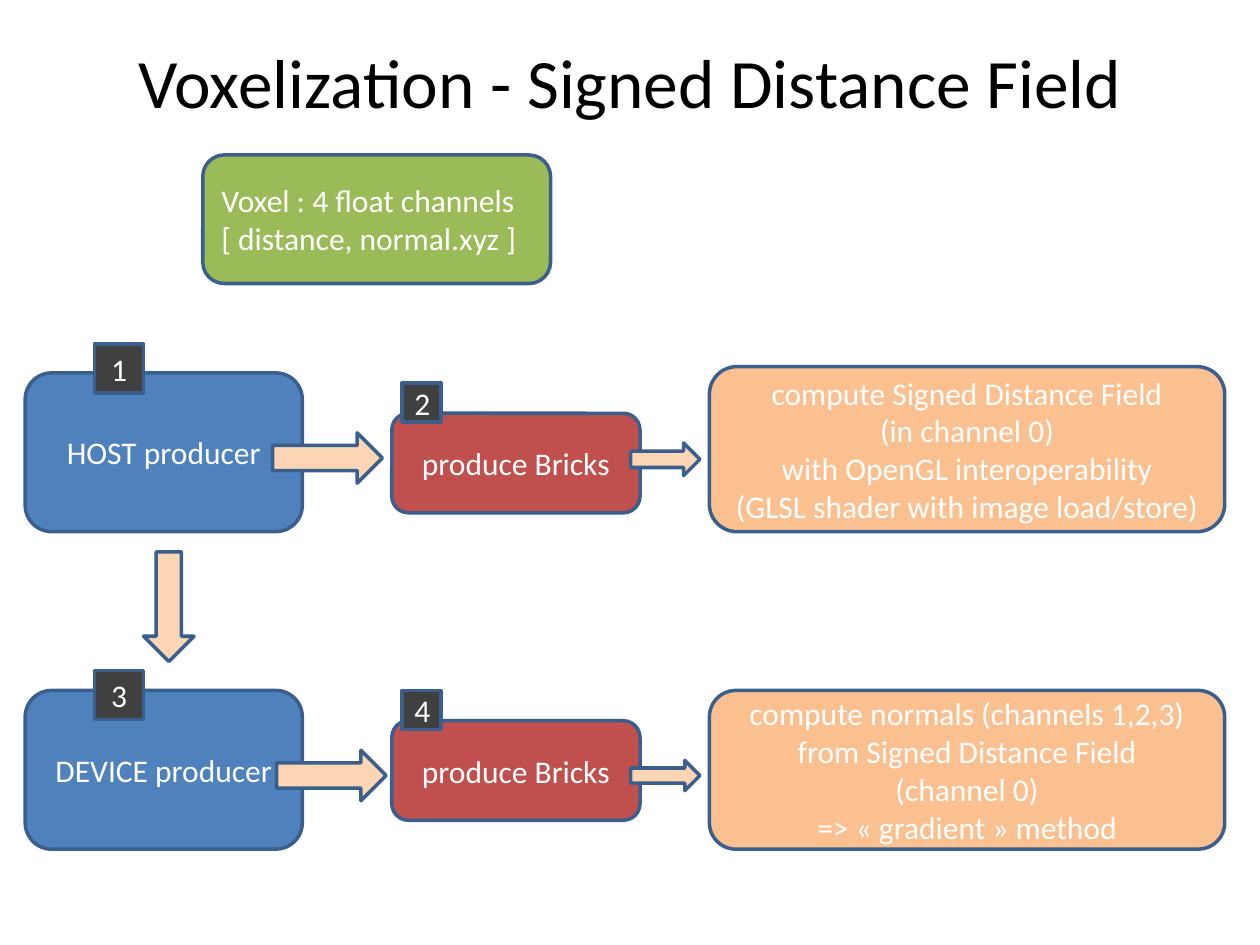
from dataclasses import dataclass

from pptx import Presentation
from pptx.dml.color import RGBColor
from pptx.enum.shapes import MSO_SHAPE
from pptx.enum.text import MSO_ANCHOR, PP_ALIGN
from pptx.util import Inches, Pt

ROUNDED, SQUARE, ARROW = MSO_SHAPE.ROUNDED_RECTANGLE, MSO_SHAPE.RECTANGLE, MSO_SHAPE.DOWN_ARROW
LEFT, CENTER = PP_ALIGN.LEFT, PP_ALIGN.CENTER
MIDDLE = MSO_ANCHOR.MIDDLE

FONT = "Calibri"
BLACK = RGBColor(0x00, 0x00, 0x00)
WHITE = RGBColor(0xFF, 0xFF, 0xFF)
OUTLINE = RGBColor(0x3A, 0x5F, 0x8C)
PRODUCER_BLUE = RGBColor(0x4F, 0x81, 0xBD)
BRICK_RED = RGBColor(0xC0, 0x50, 0x4D)
VOXEL_GREEN = RGBColor(0x9B, 0xBB, 0x59)
COMPUTE_ORANGE = RGBColor(0xFA, 0xC0, 0x90)
ARROW_PEACH = RGBColor(0xFC, 0xD5, 0xB5)
BADGE_GRAY = RGBColor(0x40, 0x40, 0x40)


@dataclass(frozen=True)
class Column:
    left: float
    width: float


@dataclass(frozen=True)
class Box:
    left: float
    top: float
    width: float
    height: float


@dataclass(frozen=True)
class Stage:
    """One row of the pipeline; offsets are measured from the row's top."""
    top: float
    producer: str
    computation: tuple[str, ...]
    computation_rise: float
    brick_offset: float
    badge_rise: float
    flow_left: float
    output_arrow: Box


PRODUCERS, BRICKS, COMPUTATIONS = Column(0.2, 2.2), Column(3.11, 1.97), Column(5.63, 4.09)
FIRST_ROW, ROW_PITCH, ROW_HEIGHT = 2.96, 2.52, 1.26
BRICK_HEIGHT = 0.79
PRODUCER_BADGE, BRICK_BADGE = 0.39, 0.31
ARROW_WIDTH, ARROW_LENGTH = 0.4, 0.87

STAGES = (
    Stage(FIRST_ROW, "HOST producer",
          ("compute Signed Distance Field", "(in channel 0)",
           "with OpenGL interoperability", "(GLSL shader with image load/store)"),
          computation_rise=0.05, brick_offset=0.32, badge_rise=0.23,
          flow_left=2.4, output_arrow=Box(5.15, 0.41, 0.26, 0.55)),
    Stage(FIRST_ROW + ROW_PITCH, "DEVICE producer",
          ("compute normals (channels 1,2,3)", "from Signed Distance Field",
           "(channel 0)", "=> « gradient » method"),
          computation_rise=0, brick_offset=0.24, badge_rise=0.16,
          flow_left=2.43, output_arrow=Box(5.16, 0.4, 0.24, 0.55)),
)


def inches(box: Box) -> tuple:
    return tuple(Inches(length) for length in (box.left, box.top, box.width, box.height))


def write(frame, lines: tuple[str, ...], size: float, color: RGBColor, align) -> None:
    frame.word_wrap = True
    frame.vertical_anchor = MIDDLE
    for index, line in enumerate(lines):
        paragraph = frame.paragraphs[0] if index == 0 else frame.add_paragraph()
        paragraph.alignment = align
        run = paragraph.add_run()
        run.text = line
        run.font.name = FONT
        run.font.size = Pt(size)
        run.font.color.rgb = color


def draw(slide, kind, box: Box, fill: RGBColor, lines: tuple[str, ...] = (),
         align=CENTER, rotation: float = 0) -> None:
    shape = slide.shapes.add_shape(kind, *inches(box))
    shape.shadow.inherit = False
    shape.fill.solid()
    shape.fill.fore_color.rgb = fill
    shape.line.color.rgb = OUTLINE
    shape.line.width = Pt(2)
    shape.rotation = rotation
    if lines:
        write(shape.text_frame, lines, 18, WHITE, align)


def draw_badge(slide, number: int, left: float, top: float, side: float) -> None:
    draw(slide, SQUARE, Box(left, top, side, side), BADGE_GRAY, (str(number),))


def draw_stage(slide, stage: Stage, first_number: int) -> None:
    top = stage.top
    brick_top = top + stage.brick_offset
    computation_top = top - stage.computation_rise
    draw(slide, ROUNDED, Box(PRODUCERS.left, top, PRODUCERS.width, ROW_HEIGHT),
         PRODUCER_BLUE, (stage.producer,))
    draw(slide, ROUNDED, Box(BRICKS.left, brick_top, BRICKS.width, BRICK_HEIGHT),
         BRICK_RED, ("produce Bricks",))
    draw(slide, ROUNDED, Box(COMPUTATIONS.left, computation_top, COMPUTATIONS.width,
                             ROW_HEIGHT + stage.computation_rise),
         COMPUTE_ORANGE, stage.computation)

    output = stage.output_arrow
    for arrow in (Box(stage.flow_left, top + 0.24, ARROW_WIDTH, ARROW_LENGTH),
                  Box(output.left, top + output.top, output.width, output.height)):
        draw(slide, ARROW, arrow, ARROW_PEACH, rotation=270)

    draw_badge(slide, first_number, PRODUCERS.left + 0.55, top - stage.badge_rise, PRODUCER_BADGE)
    draw_badge(slide, first_number + 1, BRICKS.left + 0.08, brick_top - 0.24, BRICK_BADGE)


def main() -> None:
    deck = Presentation()
    deck.slide_width, deck.slide_height = Inches(10), Inches(7.5)
    slide = deck.slides.add_slide(deck.slide_layouts[6])

    title = slide.shapes.add_textbox(*inches(Box(0.75, 0.21, 8.5, 0.87)))
    write(title.text_frame, ("Voxelization - Signed Distance Field",), 39.6, BLACK, CENTER)

    draw(slide, ROUNDED, Box(1.61, 1.23, 2.76, 1.02), VOXEL_GREEN,
         ("Voxel : 4 float channels", "[ distance, normal.xyz ]"), LEFT)
    for index, stage in enumerate(STAGES):
        draw_stage(slide, stage, 2 * index + 1)
    draw(slide, ARROW, Box(1.14, 4.38, ARROW_WIDTH, ARROW_LENGTH), ARROW_PEACH)

    deck.save("out.pptx")


if __name__ == "__main__":
    main()
